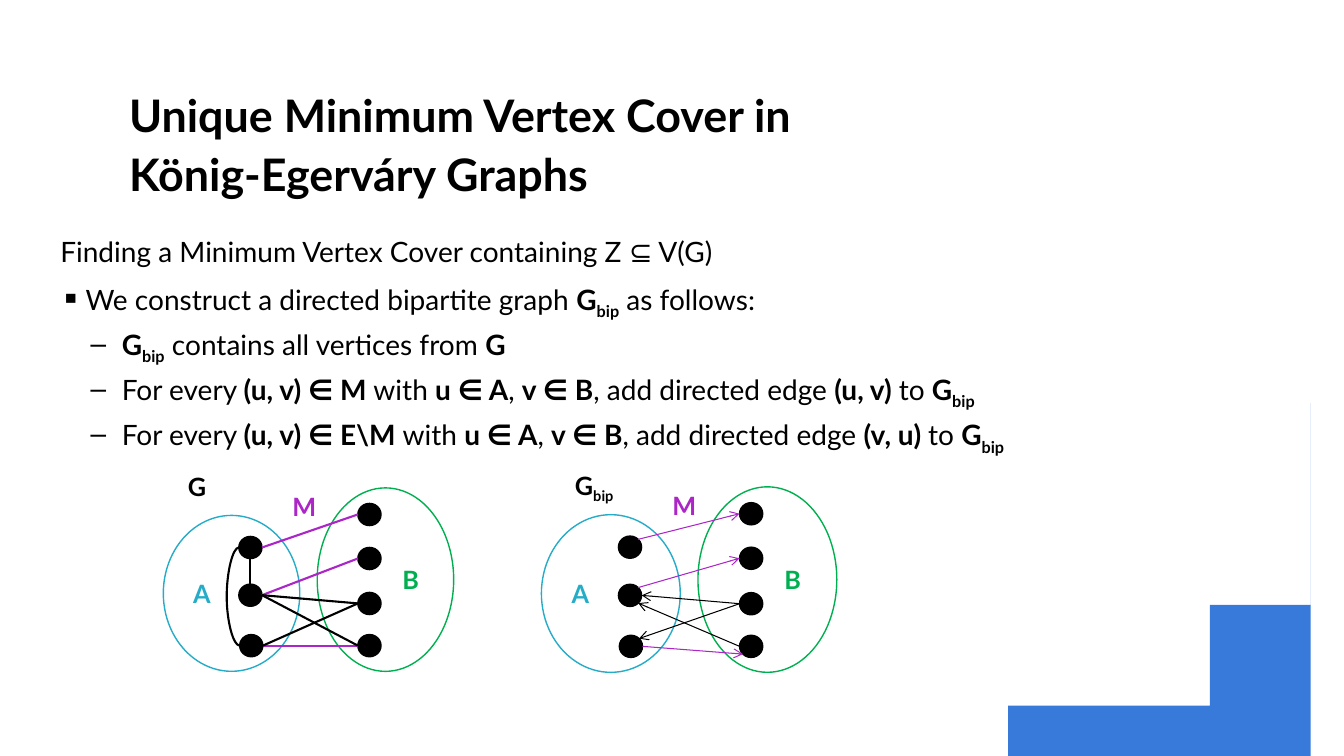
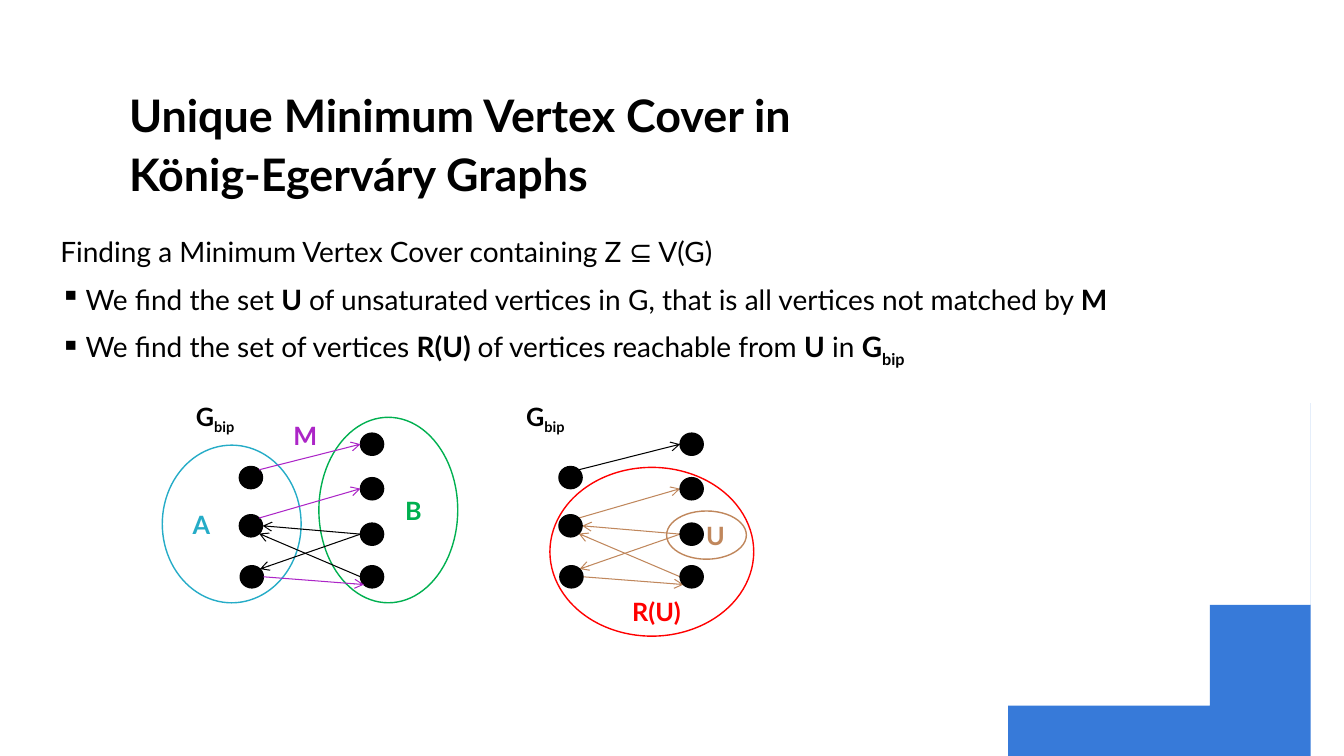
from lxml import etree
from pptx import Presentation
from pptx.dml.color import RGBColor
from pptx.enum.shapes import MSO_CONNECTOR, MSO_SHAPE
from pptx.enum.text import MSO_ANCHOR, PP_ALIGN
from pptx.oxml.ns import qn
from pptx.util import Emu, Inches, Pt

STRAIGHT, CURVE = MSO_CONNECTOR.STRAIGHT, MSO_CONNECTOR.CURVE
OVAL = MSO_SHAPE.OVAL
LEFT, CENTER, RIGHT = PP_ALIGN.LEFT, PP_ALIGN.CENTER, PP_ALIGN.RIGHT
MIDDLE, BOTTOM, TOP = MSO_ANCHOR.MIDDLE, MSO_ANCHOR.BOTTOM, MSO_ANCHOR.TOP

COLORS = {
    "ink": "000000", "paper": "FFFFFF", "corner": "377AD9",
    "set_a": "25ACC7", "set_b": "00B050", "matching": "AC25C7",
    "reached": "C0875C", "reach_set": "FF0000",
}
FONT = "Lato"
SLIDE_W, SLIDE_H = 13.33, 7.5
TITLE = "Unique Minimum Vertex Cover in König-Egerváry Graphs"
TITLE_BOX = (1.18, 0.79, 8, 1.25)
BODY_BOX = (0.5, 2.28, 12.73, 2.5)

# Paragraph levels: bullet, left margin, hanging indent, space before
LEVELS = [("", 0, 0, 10), ("▪", 0.25, 0.25, 10), ("–", 0.61, 0.31, 5)]

# Vertices as shares of the graph's box
VERTICES = {
    "a1": (0.3, 0.325), "a2": (0.3, 0.585), "a3": (0.303, 0.86),
    "b1": (0.71, 0.145), "b2": (0.71, 0.385), "b3": (0.71, 0.63), "b4": (0.71, 0.86),
}
DOT_W, DOT_H = 0.23, 0.22
# Points on a vertex's rim, as shares of the dot's size from its centre
RIM = {"N": (0, -0.5), "S": (0, 0.5), "E": (0.5, 0), "W": (-0.5, 0),
       "NE": (0.35, -0.35), "SE": (0.35, 0.35), "SW": (-0.35, 0.35)}

# Edges: start, its side, end, its side
MATCHED = [("a1", "E", "b1", "W"), ("a2", "E", "b2", "W"), ("a3", "E", "b4", "W")]
UNMATCHED = [("a3", "E", "b3", "W"), ("a2", "E", "b3", "W"), ("a2", "E", "b4", "W"),
             ("a1", "S", "a2", "N")]
FORWARD = [("a1", "NE", "b1", "W"), ("a2", "NE", "b2", "W"), ("a3", "E", "b4", "SW")]
BACKWARD = [("b3", "W", "a3", "NE"), ("b3", "W", "a2", "E"), ("b4", "W", "a2", "SE")]


def rgb(name):
    return RGBColor.from_string(COLORS[name])


def inches(box):
    return [Inches(length) for length in box]


def within(box, x, y, w=0, h=0):
    """Turn shares of a box into inches on the slide."""
    left, top, width, height = box
    return left + x * width, top + y * height, w * width, h * height


def set_font(font, size, color, bold=None):
    font.name, font.size, font.bold = FONT, Pt(size), bold
    font.color.rgb = rgb(color)


def write_marked(paragraph, text):
    """Write runs: *...* is bold, and what follows _ inside it is a subscript."""
    for i, part in enumerate(text.split("*")):
        for j, piece in enumerate(part.split("_")):
            if piece:
                run = paragraph.add_run()
                run.text = piece
                if i % 2:
                    run.font.bold = True
                if j:
                    run.font._element.set("baseline", "-25000")


def add_label(slide, text, x, y, color):
    label = slide.shapes.add_textbox(*inches((x, y, 0.8, 0.4)))
    label.text_frame.word_wrap = True
    paragraph = label.text_frame.paragraphs[0]
    set_font(paragraph.font, 18, color)
    write_marked(paragraph, f"*{text}*")


def add_oval(slide, box, color, fill=None, text="", align=LEFT, indent=0):
    oval = slide.shapes.add_shape(OVAL, *inches(box))
    oval.shadow.inherit = False
    if fill:
        oval.fill.solid()
        oval.fill.fore_color.rgb = rgb(fill)
    else:
        oval.fill.background()
    oval.line.color.rgb = rgb(color)
    oval.line.width = Pt(1)
    if text:
        oval.text_frame.vertical_anchor = MIDDLE
        paragraph = oval.text_frame.paragraphs[0]
        paragraph.text, paragraph.alignment = text, align
        set_font(paragraph.font, 18, color, True)
        paragraph._p.get_or_add_pPr().set("marL", str(Inches(indent)))


def rim_point(box, vertex, side):
    x, y = within(box, *VERTICES[vertex])[:2]
    dx, dy = RIM[side]
    return x + dx * DOT_W, y + dy * DOT_H


def add_edge(slide, box, edge, color, width, arrow=False, kind=STRAIGHT):
    start, start_side, end, end_side = edge
    ends = rim_point(box, start, start_side) + rim_point(box, end, end_side)
    line = slide.shapes.add_connector(kind, *inches(ends))
    line.line.color.rgb = rgb(color)
    line.line.width = Pt(width)
    if arrow:
        etree.SubElement(line.line._get_or_add_ln(), qn("a:tailEnd"), type="arrow")
    etree.SubElement(line._element.spPr, qn("a:effectLst"))
    return line


def add_edges(slide, box, edges, color, width=0.75, arrow=True):
    for edge in edges:
        add_edge(slide, box, edge, color, width, arrow)


def add_side_edge(slide, box):
    """Curve from the first to the last vertex of A, bulging to the left."""
    curve = add_edge(slide, box, ("a1", "W", "a3", "W"), "ink", 1.5, kind=CURVE)
    bulge = -round(100000 * Inches(0.12) / curve.width)
    guides = curve._element.spPr.find(qn("a:prstGeom")).find(qn("a:avLst"))
    etree.SubElement(guides, qn("a:gd"), name="adj1", fmla=f"val {bulge}")


def add_vertices(slide, box):
    for share in VERTICES.values():
        x, y = within(box, *share)[:2]
        add_oval(slide, (x - DOT_W / 2, y - DOT_H / 2, DOT_W, DOT_H), "ink", "ink")


def add_bipartition(slide, box, name, name_x=0.08):
    """Sets A and B with their vertices, the graph's name and the label M."""
    add_oval(slide, within(box, 0.53, 0, 0.47, 1), "set_b", "paper", "B", CENTER, 0.5)
    add_oval(slide, within(box, 0, 0.15, 0.47, 0.85), "set_a", "paper", "A")
    add_vertices(slide, box)
    add_label(slide, "M", *within(box, 0.41, -0.01)[:2], "matching")
    add_label(slide, name, *within(box, name_x, -0.115)[:2], "ink")


def undirected_graph(slide, box):
    add_bipartition(slide, box, "G", 0.05)
    add_edges(slide, box, MATCHED, "matching", 1.5, False)
    add_edges(slide, box, UNMATCHED, "ink", 1.5, False)
    add_side_edge(slide, box)


def directed_graph(slide, box):
    add_bipartition(slide, box, "G_bip")
    add_edges(slide, box, FORWARD, "matching")
    add_edges(slide, box, BACKWARD, "ink")


def reachable_graph(slide, box):
    add_edges(slide, box, FORWARD[:1], "ink")
    add_edges(slide, box, FORWARD[1:] + BACKWARD, "reached")
    add_oval(slide, within(box, 0.23, 0.27, 0.69, 0.91), "reach_set")
    add_label(slide, "R(U)", *within(box, 0.475, 0.94)[:2], "reach_set")
    add_vertices(slide, box)
    add_oval(slide, within(box, 0.625, 0.505, 0.27, 0.26), "reached", text="U", align=RIGHT)
    add_label(slide, "G_bip", *within(box, 0.116, -0.115)[:2], "ink")


def add_corner(slide):
    """Blue corner cut out by a cubic curve."""
    curve = [(9.71, 7.5), (11.67, 7.41), (13.23, 5.87), (13.33, 3.96)]
    steps = 48
    points = []
    for i in range(steps + 1):
        t = i / steps
        weights = ((1 - t) ** 3, 3 * t * (1 - t) ** 2, 3 * t * t * (1 - t), t ** 3)
        points.append(tuple(sum(w * p[axis] for w, p in zip(weights, curve))
                            for axis in (0, 1)))
    points += [(SLIDE_W, 3.78), (SLIDE_W, SLIDE_H)]
    builder = slide.shapes.build_freeform(9.63, SLIDE_H, scale=Inches(1))
    builder.add_line_segments(points, close=True)
    corner = builder.convert_to_shape(Emu(0), Emu(0))
    corner.shadow.inherit = False
    corner.fill.solid()
    corner.fill.fore_color.rgb = rgb("corner")
    corner.line.fill.background()


def add_title(slide):
    title = slide.shapes.title
    title.left, title.top, title.width, title.height = inches(TITLE_BOX)
    title.text_frame.text = TITLE
    title.text_frame.word_wrap = True
    title.text_frame.vertical_anchor = BOTTOM
    paragraph = title.text_frame.paragraphs[0]
    paragraph.alignment, paragraph.line_spacing = LEFT, 1.1
    set_font(paragraph.font, 32, "ink", True)


def add_body(slide, box, lines):
    frame = slide.shapes.add_textbox(*inches(box)).text_frame
    frame.word_wrap, frame.vertical_anchor = True, TOP
    for i, (level, text) in enumerate(lines):
        paragraph = frame.add_paragraph() if i else frame.paragraphs[0]
        bullet, margin, hanging, before = LEVELS[level]
        paragraph.space_before = Pt(before)
        props = paragraph._p.get_or_add_pPr()
        props.set("marL", str(Inches(margin)))
        props.set("indent", str(-Inches(hanging)))
        if bullet:
            etree.SubElement(props, qn("a:buChar"), char=bullet)
        set_font(paragraph.font, 20, "ink")
        write_marked(paragraph, text)


def add_graph_slide(deck, lines, graphs):
    slide = deck.slides.add_slide(deck.slide_layouts[5])
    add_corner(slide)
    add_title(slide)
    add_body(slide, BODY_BOX, [(0, "Finding a Minimum Vertex Cover containing Z ⊆ V(G)")] + lines)
    for draw, box in graphs:
        draw(slide, box)


def main():
    deck = Presentation()
    deck.slide_width, deck.slide_height = Inches(SLIDE_W), Inches(SLIDE_H)

    # Construction of the directed graph
    add_graph_slide(deck, [
        (1, "We construct a directed bipartite graph *G_bip* as follows:"),
        (2, "*G_bip* contains all vertices from *G*"),
        (2, "For every *(u, v) ∈ M *with *u ∈ A*, *v ∈ B*, add directed edge *(u, v) *to *G_bip*"),
        (2, "For every *(u, v) ∈ E\\M *with *u ∈ A*, *v ∈ B*, add directed edge *(v, u) *to *G_bip*"),
    ], [(undirected_graph, (1.62, 4.84, 2.88, 1.82)),
        (directed_graph, (5.37, 4.83, 2.93, 1.84))])

    # Vertices reachable from the unsaturated ones
    add_graph_slide(deck, [
        (1, "We find the set *U *of unsaturated vertices in G, that is all vertices not matched by *M*"),
        (1, "We find the set of vertices *R(U) *of vertices reachable from *U* in *G_bip*"),
    ], [(directed_graph, (1.61, 4.14, 2.93, 1.84)),
        (reachable_graph, (4.78, 4.14, 2.93, 1.84))])

    deck.save("out.pptx")


if __name__ == "__main__":
    main()
